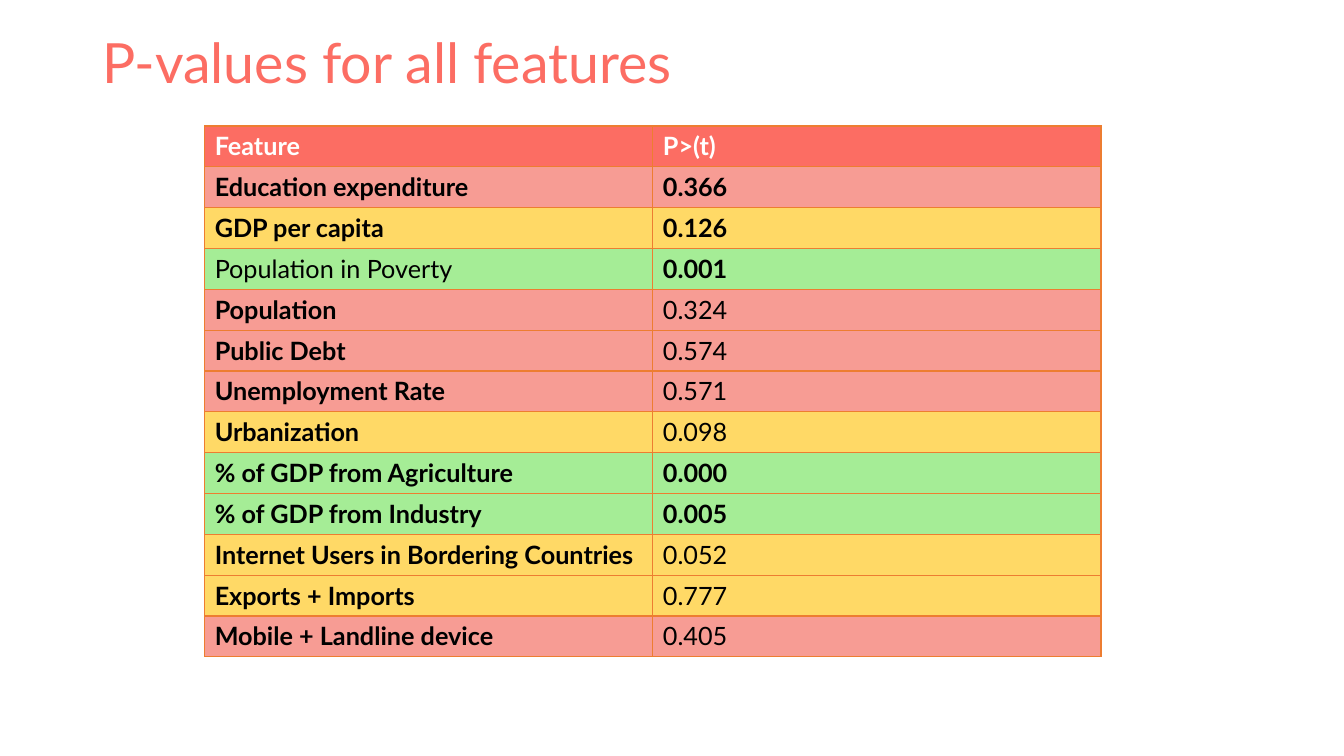
from dataclasses import dataclass

from lxml import etree
from pptx import Presentation
from pptx.dml.color import RGBColor
from pptx.enum.text import MSO_ANCHOR
from pptx.oxml.ns import qn
from pptx.util import Inches, Pt

MIDDLE = MSO_ANCHOR.MIDDLE
TOP = MSO_ANCHOR.TOP


@dataclass(frozen=True)
class Theme:
    font: str = "Lato"
    title_size: float = 39.6
    cell_size: float = 18
    border_width: float = 1
    coral: str = "FC6D63"
    red: str = "F79C94"
    yellow: str = "FFD966"
    green: str = "A5ED96"
    border: str = "ED7D31"
    white: str = "FFFFFF"
    black: str = "000000"


THEME = Theme()

# Feature, p-value, row fill, feature is bold, p-value is bold
FEATURES = [
    ("Education expenditure", "0.366", THEME.red, True, True),
    ("GDP per capita", "0.126", THEME.yellow, True, True),
    ("Population in Poverty", "0.001", THEME.green, False, True),
    ("Population", "0.324", THEME.red, True, False),
    ("Public Debt", "0.574", THEME.red, True, False),
    ("Unemployment Rate", "0.571", THEME.red, True, False),
    ("Urbanization", "0.098", THEME.yellow, True, False),
    ("% of GDP from Agriculture", "0.000", THEME.green, True, True),
    ("% of GDP from Industry", "0.005", THEME.green, True, True),
    ("Internet Users in Bordering Countries", "0.052", THEME.yellow, True, False),
    ("Exports + Imports", "0.777", THEME.yellow, True, False),
    ("Mobile + Landline device", "0.405", THEME.red, True, False),
]


def write_text(frame, text, *, size, color, bold=False, anchor=TOP, line_spacing=None):
    frame.word_wrap = True
    frame.vertical_anchor = anchor
    para = frame.paragraphs[0]
    para.line_spacing = line_spacing
    span = para.add_run()
    span.text = text
    span.font.name = THEME.font
    span.font.size = Pt(size)
    span.font.bold = bold
    span.font.color.rgb = RGBColor.from_string(color)


def add_cell_borders(cell):
    """Line all four sides; borders must come before the fill in the cell XML."""
    properties = cell._tc.get_or_add_tcPr()
    for side in ("a:lnL", "a:lnR", "a:lnT", "a:lnB"):
        line = etree.SubElement(properties, qn(side), w=str(Pt(THEME.border_width)))
        fill = etree.SubElement(line, qn("a:solidFill"))
        etree.SubElement(fill, qn("a:srgbClr"), val=THEME.border)


def add_title(page, left, top, width, height):
    box = page.shapes.add_textbox(left, top, width, height)
    write_text(box.text_frame, "P-values for all features", size=THEME.title_size,
               color=THEME.coral, anchor=MIDDLE, line_spacing=0.9)


def add_feature_table(page, left, top, width, height):
    header = ("Feature", "P>(t)", THEME.coral, True, True)
    rows = [header, *FEATURES]
    table = page.shapes.add_table(len(rows), 2, left, top, width, height).table
    for row in table.rows:
        row.height = height // len(rows)
    for index, (feature, value, fill, *bolds) in enumerate(rows):
        color = THEME.black if index else THEME.white
        for column, (text, bold) in enumerate(zip((feature, value), bolds)):
            cell = table.cell(index, column)
            add_cell_borders(cell)
            cell.fill.solid()
            cell.fill.fore_color.rgb = RGBColor.from_string(fill)
            write_text(cell.text_frame, text, size=THEME.cell_size,
                       color=color, bold=bold)


def main():
    deck = Presentation()
    deck.slide_width = Inches(13.33)
    deck.slide_height = Inches(7.5)
    page = deck.slides.add_slide(deck.slide_layouts[6])
    add_title(page, Inches(0.92), Inches(0.4), Inches(11.5), Inches(0.49))
    add_feature_table(page, Inches(2.03), Inches(1.25), Inches(8.89), Inches(5.27))
    deck.save("out.pptx")


if __name__ == "__main__":
    main()
